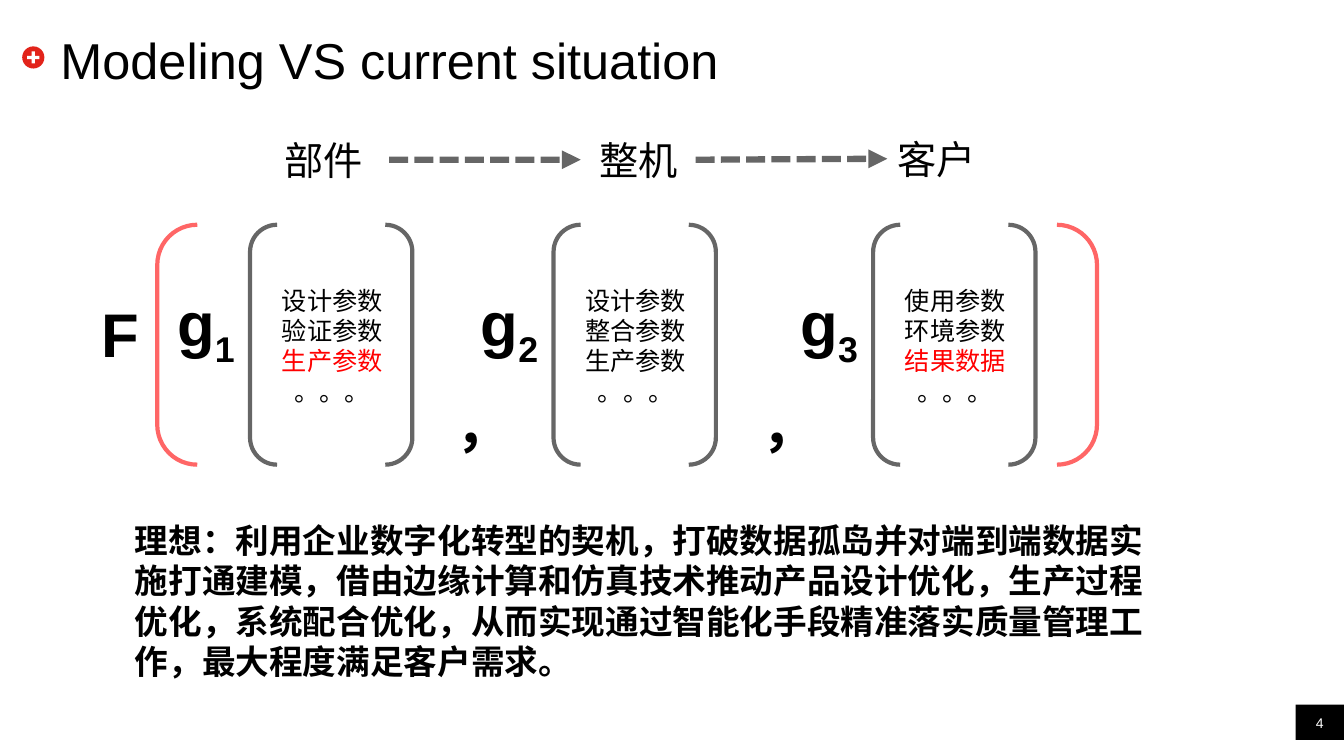
from lxml import etree
from pptx import Presentation
from pptx import util as u
from pptx.dml.color import RGBColor
from pptx.enum import dml, shapes, text
from pptx.oxml.ns import qn

SCALE = 9144
BLACK, WHITE, RED, ICON_RED = "000000", "FFFFFF", "FF0000", "E2231A"
LEFT, CENTER = text.PP_ALIGN.LEFT, text.PP_ALIGN.CENTER
PRESET = shapes.MSO_SHAPE


def px(*lengths):
    return [u.Emu(length * SCALE) for length in lengths]


def colour(hex_code):
    return RGBColor.from_string(hex_code)


def write(holder, lines, size=18, color=BLACK, bold=False, align=LEFT,
          anchor=text.MSO_ANCHOR.TOP, inset=(10, 5), highlight=None, subscript=None):
    frame = holder.text_frame
    frame.word_wrap = True
    frame.auto_size = text.MSO_AUTO_SIZE.NONE
    frame.vertical_anchor = anchor
    frame.margin_left = frame.margin_right = px(inset[0])[0]
    frame.margin_top = frame.margin_bottom = px(inset[1])[0]
    for number, line in enumerate(lines):
        paragraph = frame.paragraphs[0] if number == 0 else frame.add_paragraph()
        paragraph.alignment = align
        for part in filter(None, (line, subscript)):
            run = paragraph.add_run()
            run.text = part
            run.font.name = "Arial"
            run.font.size = u.Pt(size)
            run.font.bold = bold
            run.font.color.rgb = colour(RED if line == highlight else color)
            if part == subscript:
                run._r.get_or_add_rPr().set("baseline", "-25000")
    return holder


def add_text(slide, box, lines, **style):
    return write(slide.shapes.add_textbox(*px(*box)), lines, **style)


def add_filled(slide, preset, box, color):
    filled = slide.shapes.add_shape(preset, *px(*box))
    filled.shadow.inherit = False
    filled.fill.solid()
    filled.fill.fore_color.rgb = colour(color)
    filled.line.fill.background()
    return filled


def style_line(line, color, width):
    line.color.rgb = colour(color)
    line.width = u.Pt(width)
    tint = line._get_or_add_ln().find(".//" + qn("a:srgbClr"))
    etree.SubElement(tint, qn("a:alpha"), val="60000")


def add_brackets(slide, box, color):
    brackets = slide.shapes.add_shape(PRESET.DOUBLE_BRACKET, *px(*box))
    brackets.shadow.inherit = False
    brackets.fill.background()
    style_line(brackets.line, color, 3)


def add_arrow(slide, source, target):
    arrow = slide.shapes.add_connector(shapes.MSO_CONNECTOR.STRAIGHT, 0, 0, 0, 0)
    arrow.begin_connect(source, 3)
    arrow.end_connect(target, 1)
    style_line(arrow.line, BLACK, 4.5)
    arrow.line.dash_style = dml.MSO_LINE.SQUARE_DOT
    etree.SubElement(arrow.line._get_or_add_ln(), qn("a:tailEnd"), type="triangle")
    etree.SubElement(arrow._element.spPr, qn("a:effectLst"))


def add_heading(slide, box):
    left, top, width, height = box
    add_filled(slide, PRESET.OVAL, (left, top + 16, 22, 22), ICON_RED)
    plus = add_filled(slide, PRESET.CROSS, (left + 5, top + 21, 12, 12), WHITE)
    plus.adjustments[0] = 0.37
    title = slide.shapes.title
    title.left, title.top, title.width, title.height = px(left + 38, top, width - 38, height)
    write(title, ["Modeling VS current situation"], size=36,
          anchor=text.MSO_ANCHOR.MIDDLE, inset=(0, 0))


def add_stages(slide, box):
    left, top, step, height = box
    stages = [
        add_text(slide, (left + step * place, top - rise, 114, height), [name], size=28)
        for place, (name, rise) in enumerate([("部件", 0), (" 整机", 0), ("客户", 1)])
    ]
    for source, target in zip(stages, stages[1:]):
        add_arrow(slide, source, target)


def add_function(slide, box, index, parameters, highlight):
    left, top, width, height = box
    add_brackets(slide, box, BLACK)
    add_text(slide, (left + 11, top + 55, width - 20, 131), parameters + ["。。。"],
             align=CENTER, highlight=highlight)
    add_text(slide, (left - 82, top + 55, 106, 84), ["g"], size=44, bold=True,
             subscript=index)


def add_formula(slide, box):
    left, top, width, height = box
    functions = [
        (92, ["设计参数", "验证参数", "生产参数"], "生产参数"),
        (393, ["设计参数", "整合参数", "生产参数"], None),
        (710, ["使用参数", "环境参数", "结果数据"], "结果数据"),
    ]
    for index, (offset, parameters, highlight) in enumerate(functions, 1):
        add_function(slide, (left + offset, top, 161, height), str(index),
                     parameters, highlight)
    add_brackets(slide, box, RED)
    add_text(slide, (left - 65, top + 66, 82, 84), ["F"], size=44, bold=True)
    for offset in (286, 589):
        add_text(slide, (left + offset, top + 160, 42, 77), ["，"], size=40,
                 bold=True, align=CENTER)


def add_ideal(slide, box):
    add_text(slide, box, [
        "理想：利用企业数字化转型的契机，打破数据孤岛并对端到端数据实施打通建模，"
        "借由边缘计算和仿真技术推动产品设计优化，生产过程优化，系统配合优化，"
        "从而实现通过智能化手段精准落实质量管理工作，最大程度满足客户需求。"
    ], size=24, bold=True)


def add_page_number(slide, box):
    left, top, width, height = box
    add_filled(slide, PRESET.RECTANGLE, box, BLACK)
    add_text(slide, (left, top, width, height - 8), ["4"], size=10, color=WHITE,
             align=CENTER, anchor=text.MSO_ANCHOR.BOTTOM, inset=(0, 0))


def main():
    deck = Presentation()
    deck.slide_width, deck.slide_height = px(1333, 750)
    slide = deck.slides.add_slide(deck.slide_layouts[5])
    add_page_number(slide, (1285, 699, 48, 35))
    add_heading(slide, (22, 30, 1249, 57))
    add_stages(slide, (272, 130, 304, 57))
    add_formula(slide, (156, 223, 932, 238))
    add_ideal(slide, (124, 511, 1050, 172))
    deck.save("out.pptx")


if __name__ == "__main__":
    main()
